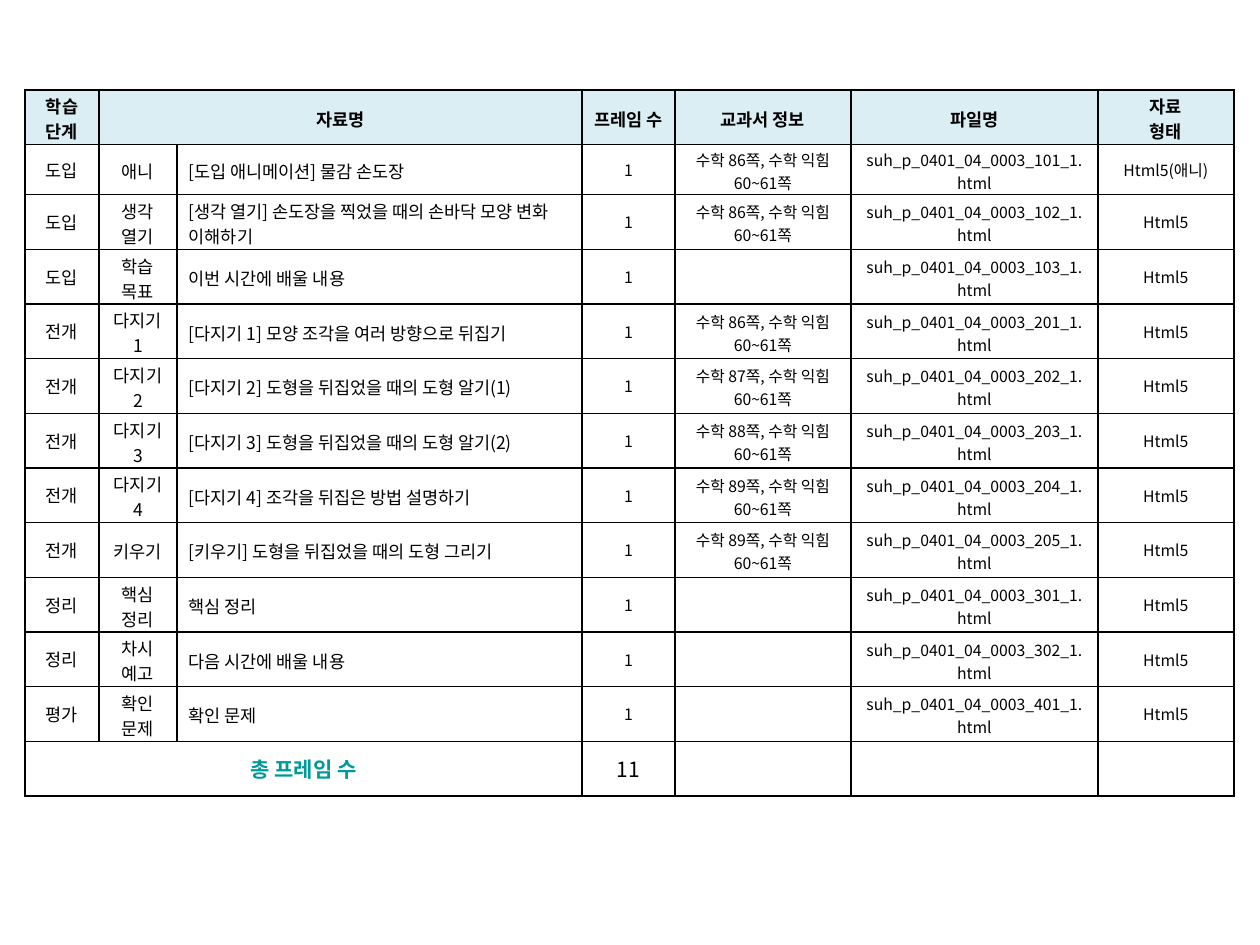
import pptx
import pptx.dml.color
import pptx.enum.text
import pptx.oxml
import pptx.oxml.ns
import pptx.util

# Content
HEADER = ["학습 단계", "자료명", "", "프레임 수", "교과서 정보", "파일명", "자료\n형태"]
# stage, label, title, textbook page, file number, type
LESSONS = [
    ("도입", "애니", "[도입 애니메이션] 물감 손도장", 86, 101, "Html5(애니)"),
    ("도입", "생각 열기", "[생각 열기] 손도장을 찍었을 때의 손바닥 모양 변화 이해하기", 86, 102, "Html5"),
    ("도입", "학습 목표", "이번 시간에 배울 내용", None, 103, "Html5"),
    ("전개", "다지기1", "[다지기 1] 모양 조각을 여러 방향으로 뒤집기", 86, 201, "Html5"),
    ("전개", "다지기 2", "[다지기 2] 도형을 뒤집었을 때의 도형 알기(1)", 87, 202, "Html5"),
    ("전개", "다지기 3", "[다지기 3] 도형을 뒤집었을 때의 도형 알기(2)", 88, 203, "Html5"),
    ("전개", "다지기 4", "[다지기 4] 조각을 뒤집은 방법 설명하기", 89, 204, "Html5"),
    ("전개", "키우기", "[키우기] 도형을 뒤집었을 때의 도형 그리기", 89, 205, "Html5"),
    ("정리", "핵심 정리", "핵심 정리", None, 301, "Html5"),
    ("정리", "차시 예고", "다음 시간에 배울 내용", None, 302, "Html5"),
    ("평가", "확인 문제", "확인 문제", None, 401, "Html5"),
]
TOTAL = ["총 프레임 수", "", "", str(len(LESSONS)), "", "", ""]

# Theme and layout, lengths in px
THEME = {
    "font": "Noto Sans CJK KR", "ink": "000000", "accent": "009999", "header": "DBEEF4",
    "text": 10, "small": 9, "total": 12, "border": 1,
}
PX = 914400 / 126
LEFT, TOP, HEIGHT = 25, 90, 706
COLUMN_WIDTHS = [74, 78, 405, 93, 176, 247, 136]
FIRST_LESSON_HEIGHT = 50
TITLE_COLUMN = 2
SMALL_COLUMNS = (3, 4, 5, 6)
WRAPPING_COLUMNS = (1, 2, 4, 5)


def px(length):
    return pptx.util.Emu(round(length * PX))


def rgb(value):
    return pptx.dml.color.RGBColor.from_string(value)


def set_format(target, values):
    for name, value in values.items():
        setattr(target, name, value)


def lesson_row(stage, label, title, page, number, kind):
    textbook = f"수학 {page}쪽, 수학 익힘 60~61쪽" if page else ""
    return [stage, label, title, "1", textbook, f"suh_p_0401_04_0003_{number}_1.html", kind]


def add_borders(cell):
    properties = cell._tc.get_or_add_tcPr()
    for side in ("lnL", "lnR", "lnT", "lnB"):
        properties.append(pptx.oxml.parse_xml(
            f'<a:{side} {pptx.oxml.ns.nsdecls("a")} w="{THEME["border"] * 12700}">'
            f'<a:solidFill><a:srgbClr val="{THEME["ink"]}"/></a:solidFill></a:{side}>'))


def fill_cell(cell, text, size, color, bold, align, background, wraps):
    set_format(cell, {
        "text": text,
        "vertical_anchor": pptx.enum.text.MSO_ANCHOR.MIDDLE,
        "margin_left": px(12), "margin_right": px(12),
        "margin_top": px(3 if wraps else 6), "margin_bottom": px(0 if wraps else 6),
    })
    add_borders(cell)
    if background:
        cell.fill.solid()
        cell.fill.fore_color.rgb = rgb(background)
    else:
        cell.fill.background()
    for paragraph in cell.text_frame.paragraphs:
        paragraph.alignment = align
        for run in paragraph.runs:
            set_format(run.font, {"name": THEME["font"], "size": pptx.util.Pt(size), "bold": bold})
            run.font.color.rgb = rgb(color)
            run._r.get_or_add_rPr().append(pptx.oxml.parse_xml(
                f'<a:ea {pptx.oxml.ns.nsdecls("a")} typeface="{THEME["font"]}"/>'))
        if not paragraph.runs:
            # Keep an empty cell from stretching its row
            paragraph._p.append(pptx.oxml.parse_xml(
                f'<a:endParaRPr {pptx.oxml.ns.nsdecls("a")} sz="{size * 100}"/>'))


def main():
    presentation = pptx.Presentation()
    set_format(presentation, {"slide_width": px(1260), "slide_height": px(945)})
    slide = presentation.slides.add_slide(presentation.slide_layouts[6])

    # Table grid
    rows = [HEADER, *(lesson_row(*lesson) for lesson in LESSONS), TOTAL]
    last = len(rows) - 1
    table = slide.shapes.add_table(
        len(rows), len(COLUMN_WIDTHS), px(LEFT), px(TOP), px(sum(COLUMN_WIDTHS)), px(HEIGHT)).table
    set_format(table, {"first_row": False, "horz_banding": False})
    for column, width in zip(table.columns, COLUMN_WIDTHS):
        column.width = px(width)
    row_height = (HEIGHT - FIRST_LESSON_HEIGHT) / last
    for index, row in enumerate(table.rows):
        row.height = px(FIRST_LESSON_HEIGHT if index == 1 else row_height)

    # Cells
    for r, texts in enumerate(rows):
        is_header, is_total = r == 0, r == last
        for c, text in enumerate(texts):
            is_lesson = not (is_header or is_total)
            size = THEME["total"] if is_total else THEME["text"]
            if is_lesson and (c in SMALL_COLUMNS or (r == 1 and c == 4)):
                size = THEME["small"]
            left_aligned = is_lesson and c == TITLE_COLUMN
            fill_cell(
                table.cell(r, c), text, size,
                color=THEME["accent"] if is_total and c == 0 else THEME["ink"],
                bold=is_header or (is_total and c == 0),
                align=pptx.enum.text.PP_ALIGN.LEFT if left_aligned else pptx.enum.text.PP_ALIGN.CENTER,
                background=THEME["header"] if is_header else None,
                wraps=is_header or (is_lesson and c in WRAPPING_COLUMNS))

    # Merged cells
    table.cell(0, 1).merge(table.cell(0, 2))
    table.cell(last, 0).merge(table.cell(last, 2))
    presentation.save("out.pptx")


if __name__ == "__main__":
    main()
